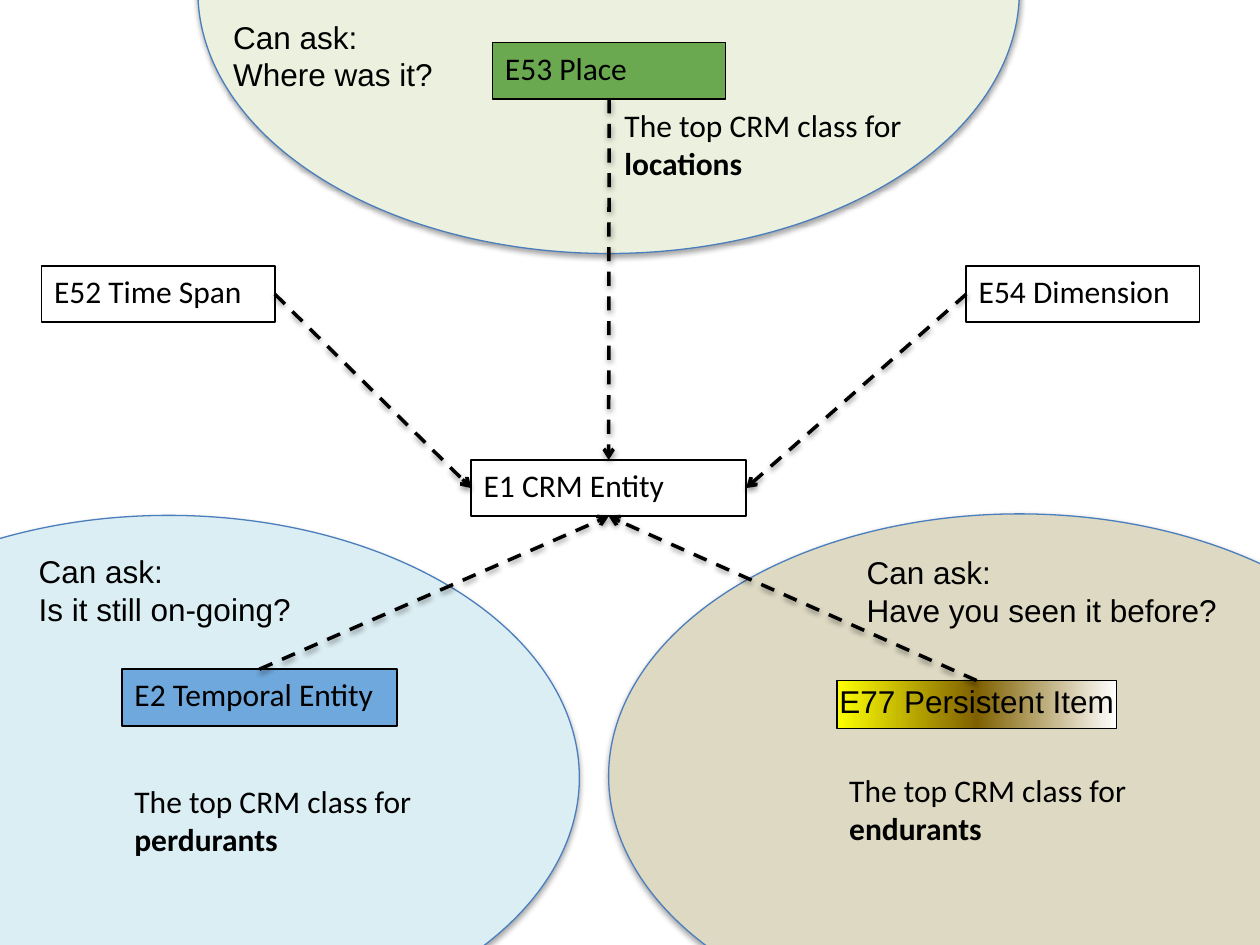
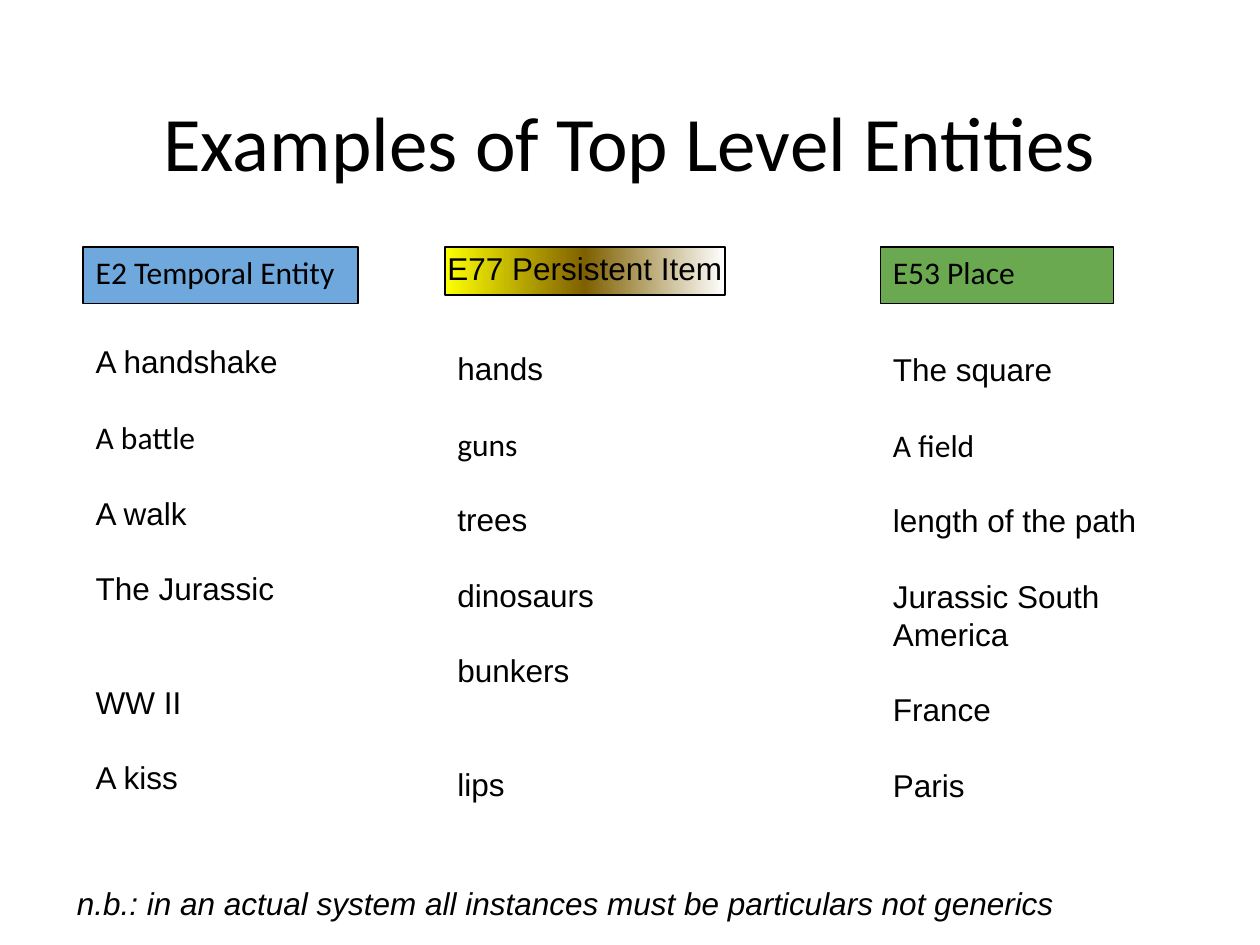
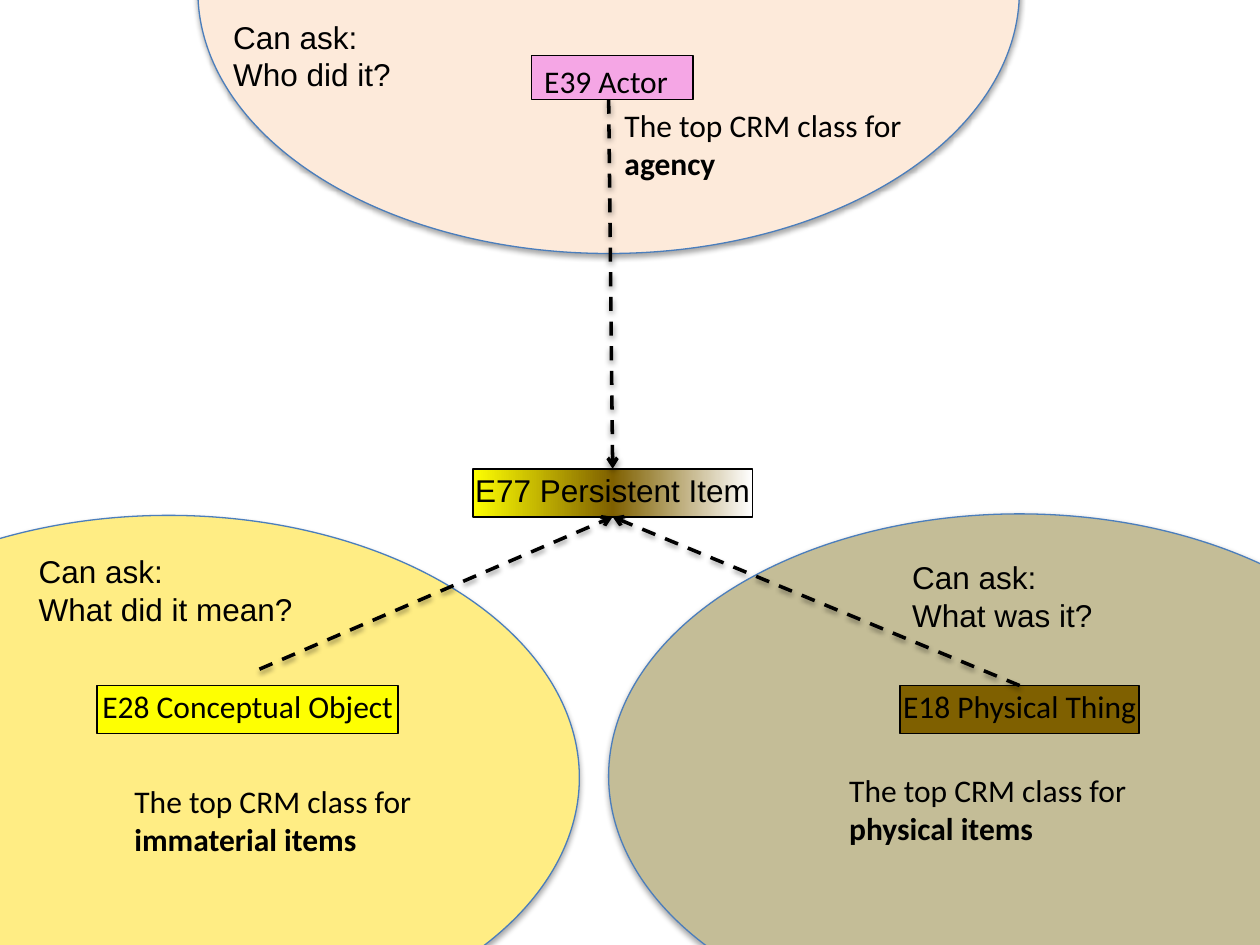
from lxml.etree import SubElement
from pptx import Presentation
from pptx.dml.color import RGBColor
from pptx.enum.dml import MSO_LINE
from pptx.enum.shapes import MSO_CONNECTOR, MSO_SHAPE
from pptx.enum.text import MSO_ANCHOR, MSO_AUTO_SIZE, PP_ALIGN
from pptx.oxml.ns import qn
from pptx.util import Cm, Pt

COLORS = {
    "black": "000000", "outline": "4B7EBC", "temporal": "6FA8DC",
    "place": "6AA94F", "actor": "F5A6E5", "concept": "FEFF02",
    "physical": "7F6000", "white": "FFFFFF", "pale green": "EBF1DE",
    "pale tan": "DDD9C3", "pale blue": "DBEEF4", "peach": "FDEADA",
    "tan": "C4BD97", "pale yellow": "FFED84",
}
PERSISTENT = ((0, "concept"), (50, "physical"), (100, "white"))
BODY, HEADING = "Arial", "Calibri"
TOP, LEFT, BOTTOM, RIGHT = range(4)
ANSWER = "The top CRM class for "
LINE = 21.6

# Entity styles: fill, width, height, outline width, tight, font
ENTITIES = {
    "E52 Time Span": (None, 4.7, 1.14, 1, False, HEADING),
    "E54 Dimension": (None, 4.7, 1.14, 1, False, HEADING),
    "E1 CRM Entity": (None, 5.54, 1.14, 1, False, HEADING),
    "E2 Temporal Entity": ("temporal", 5.54, 1.14, 1, False, HEADING),
    "E53 Place": ("place", 4.7, 1.14, 0.75, False, HEADING),
    "E39 Actor": ("actor", 3.25, 0.89, 0.75, False, HEADING),
    "E77 Persistent Item": (PERSISTENT, 5.64, 0.97, 1, True, BODY),
    "E18 Physical Thing": ("physical", 4.83, 0.97, 1, True, HEADING),
    "E28 Conceptual Object": ("concept", 6.07, 0.97, 1, True, HEADING),
}

# Regions shared by both maps: ellipse corner, class text (left, top, width)
REGIONS = {
    "upper": ((3.99, -5.46), (12.34, 2.01, 6.58)),
    "right": ((12.27, 10.36), (16.87, 15.42, 6.5)),
    "left": ((-4.88, 10.39), (2.46, 15.65, 6.58)),
}

# Each region: fill, question, question (left, top, width), what it classes.
# A link starts at a side of an entity, or at a free point.
MAPS = [
    {
        "regions": {
            "upper": ("pale green", "Where was it?", (4.45, 0.23, 4.57), "locations"),
            "right": ("pale tan", "Have you seen it before?", (17.22, 11.02, 7.65),
                      "endurants"),
            "left": ("pale blue", "Is it still on-going?", (0.53, 11, 5.64),
                     "perdurants"),
        },
        "entities": {
            "E52 Time Span": (0.84, 5.36),
            "E2 Temporal Entity": (2.46, 13.49),
            "E1 CRM Entity": (9.5, 9.27),
            "E53 Place": (9.93, 0.86),
            "E77 Persistent Item": (16.87, 13.72),
            "E54 Dimension": (19.48, 5.36),
        },
        "center": "E1 CRM Entity",
        "links": [
            (("E2 Temporal Entity", TOP), BOTTOM),
            (("E77 Persistent Item", TOP), BOTTOM),
            (("E52 Time Span", RIGHT), LEFT),
            (("E53 Place", BOTTOM), TOP),
            (("E54 Dimension", LEFT), RIGHT),
        ],
    },
    {
        "regions": {
            "upper": ("peach", "Who did it?", (4.45, 0.23, 3.71), "agency"),
            "right": ("tan", "What was it?", (18.14, 11.13, 4.19), "physical items"),
            "left": ("pale yellow", "What did it mean?", (0.53, 11, 5.69),
                     "immaterial items"),
        },
        "entities": {
            "E39 Actor": (10.72, 1.12),
            "E77 Persistent Item": (9.53, 9.45),
            "E18 Physical Thing": (18.14, 13.82),
            "E28 Conceptual Object": (1.96, 13.82),
        },
        "center": "E77 Persistent Item",
        "links": [
            ((5.23, 13.49), BOTTOM),
            (("E18 Physical Thing", TOP), BOTTOM),
            ((12.27, 2.01), TOP),
        ],
    },
]

TITLE = "Examples of Top Level Entities"
NOTE = "n.b.: in an actual system all instances must be particulars not generics"
# Entity, left, top of its list, list height, examples, example after a wide gap
EXAMPLES = [
    ("E2 Temporal Entity", 1.68, 6.78, 9.5,
     ["A handshake", "A battle", "A walk", "The Jurassic", "WW II", "A kiss"], "WW II"),
    ("E77 Persistent Item", 8.97, 6.91, 9.5,
     ["hands", "guns", "trees", "dinosaurs", "bunkers", "lips"], "lips"),
    ("E53 Place", 17.75, 6.93, 10.26,
     ["The square", "A field", "length of the path", "Jurassic South America",
      "France", "Paris"], None),
]


def rgb(name):
    return RGBColor.from_string(COLORS[name])


def style(paragraph, font=BODY, size=18):
    for run in paragraph.runs:
        run.font.name, run.font.size = font, Pt(size)
        run.font.color.rgb = rgb("black")


def add_shadow(spPr, alpha, distance):
    """Put a soft black shadow straight below a shape."""
    effects = spPr.find(qn("a:effectLst"))
    if effects is None:
        effects = SubElement(spPr, qn("a:effectLst"))
    outer = SubElement(effects, qn("a:outerShdw"), blurRad=str(Pt(3.1)),
                       dist=str(Pt(distance)), dir="5400000", rotWithShape="0")
    black = SubElement(outer, qn("a:srgbClr"), val=COLORS["black"])
    SubElement(black, qn("a:alpha"), val=str(alpha * 1000))


def add_gradient(shape, stops):
    shape.fill.gradient()
    shape.fill.gradient_angle = 0
    stop_list = shape._element.spPr.find(qn("a:gradFill")).find(qn("a:gsLst"))
    for old in list(stop_list):
        stop_list.remove(old)
    for position, name in stops:
        stop = SubElement(stop_list, qn("a:gs"), pos=str(position * 1000))
        SubElement(stop, qn("a:srgbClr"), val=COLORS[name])


def add_text(slide, left, top, width, height, text, wrap=True, font=BODY, size=18):
    box = slide.shapes.add_textbox(Cm(left), Cm(top), Cm(width), Cm(height))
    frame = box.text_frame
    frame.text = text
    frame.word_wrap = wrap
    frame.auto_size = MSO_AUTO_SIZE.SHAPE_TO_FIT_TEXT
    for paragraph in frame.paragraphs:
        style(paragraph, font, size)
    return frame


def add_entity(slide, name, left, top):
    fill, width, height, outline, tight, font = ENTITIES[name]
    entity = slide.shapes.add_shape(MSO_SHAPE.RECTANGLE, Cm(left), Cm(top),
                                    Cm(width), Cm(height))
    if fill is None:
        entity.fill.background()
    elif fill is PERSISTENT:
        add_gradient(entity, fill)
    else:
        entity.fill.solid()
        entity.fill.fore_color.rgb = rgb(fill)
    entity.line.color.rgb, entity.line.width = rgb("black"), Pt(outline)
    entity.shadow.inherit = False

    frame = entity.text_frame
    frame.text = name
    frame.vertical_anchor = MSO_ANCHOR.TOP
    frame.word_wrap = not tight
    label = frame.paragraphs[0]
    label.alignment = PP_ALIGN.CENTER if tight else PP_ALIGN.LEFT
    if tight:
        frame.margin_left = frame.margin_right = Cm(0.03)
        frame.auto_size = MSO_AUTO_SIZE.SHAPE_TO_FIT_TEXT
        label.line_spacing = 0.9
    style(label, font)
    return entity


def add_region(slide, corner, fill):
    region = slide.shapes.add_shape(MSO_SHAPE.OVAL, Cm(corner[0]), Cm(corner[1]),
                                    Cm(16.56), Cm(10.57))
    region.fill.solid()
    region.fill.fore_color.rgb = rgb(fill)
    region.line.color.rgb, region.line.width = rgb("outline"), Pt(0.75)
    region.shadow.inherit = False
    add_shadow(region._element.spPr, 35, 1.8)


def add_link(slide, entities, start, center, side):
    """Draw a dashed arrow from an entity's side or a free point to the center."""
    joined = start[0] in entities
    x, y = (0, 0) if joined else start
    link = slide.shapes.add_connector(MSO_CONNECTOR.STRAIGHT, Cm(x), Cm(y), Cm(x), Cm(y))
    if joined:
        link.begin_connect(entities[start[0]], start[1])
    link.end_connect(center, side)
    link.line.color.rgb, link.line.width = rgb("black"), Pt(2)
    link.line.dash_style = MSO_LINE.DASH
    SubElement(link.line._get_or_add_ln(), qn("a:tailEnd"), type="arrow")
    add_shadow(link._element.spPr, 38, 1.6)


def add_map(slide, content):
    for place, (fill, *_) in content["regions"].items():
        add_region(slide, REGIONS[place][0], fill)
    entities = {name: add_entity(slide, name, *corner)
                for name, corner in content["entities"].items()}
    for start, side in content["links"]:
        add_link(slide, entities, start, entities[content["center"]], side)
    for place, (_, question, spot, kind) in content["regions"].items():
        add_text(slide, *spot, 1.8, f"Can ask:\n{question}", wrap=False)
        answer = add_text(slide, *REGIONS[place][1], 1.8, ANSWER).paragraphs[0]
        answer.add_run().text = kind
        style(answer, HEADING)
        answer.runs[-1].font.bold = True


def add_examples(slide):
    title = add_text(slide, 0.86, 1.65, 23.67, 2.62, TITLE, font=HEADING, size=44)
    title.auto_size = MSO_AUTO_SIZE.NONE
    title.vertical_anchor = MSO_ANCHOR.TOP
    title.margin_top = title.margin_bottom = Cm(0.25)
    title.paragraphs[0].alignment = PP_ALIGN.CENTER
    for name, left, top, height, examples, spaced in EXAMPLES:
        add_entity(slide, name, left, 4.98)
        frame = add_text(slide, left, top, 5.82, height, "\n".join(examples))
        for row, paragraph in enumerate(frame.paragraphs):
            paragraph.line_spacing = Pt(LINE)
            if row:
                paragraph.space_before = Pt(LINE * (2 if examples[row] == spaced else 1))
        style(frame.paragraphs[1], HEADING)
    note = add_text(slide, 1.3, 17.7, 22.91, 1.02, NOTE)
    note.paragraphs[0].runs[0].font.italic = True


def main():
    deck = Presentation()
    deck.slide_width, deck.slide_height = Cm(25.4), Cm(19.05)
    upper_map, examples, lower_map = (
        deck.slides.add_slide(deck.slide_layouts[6]) for _ in range(3))
    add_map(upper_map, MAPS[0])
    add_examples(examples)
    add_map(lower_map, MAPS[1])
    deck.save("out.pptx")


if __name__ == "__main__":
    main()
